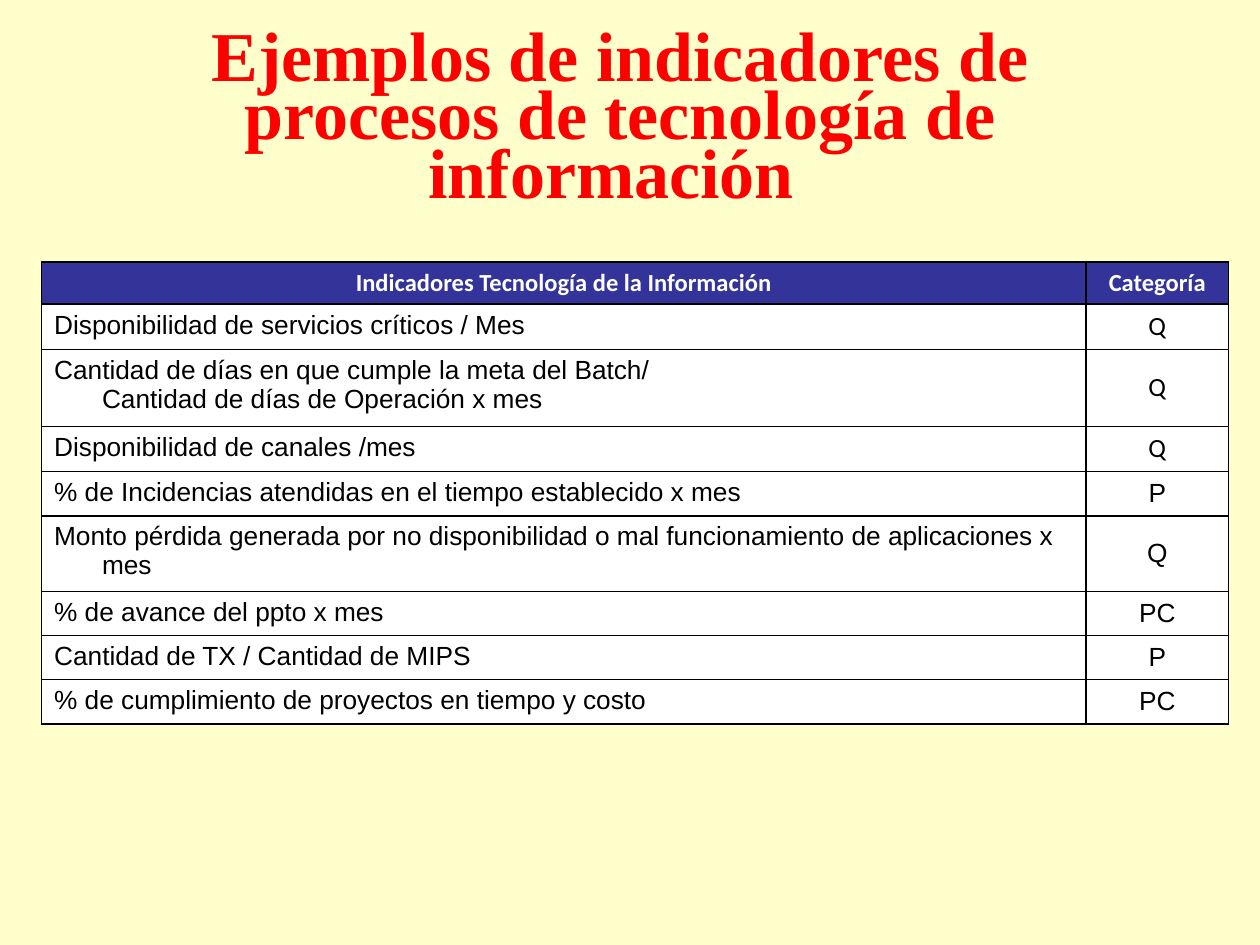
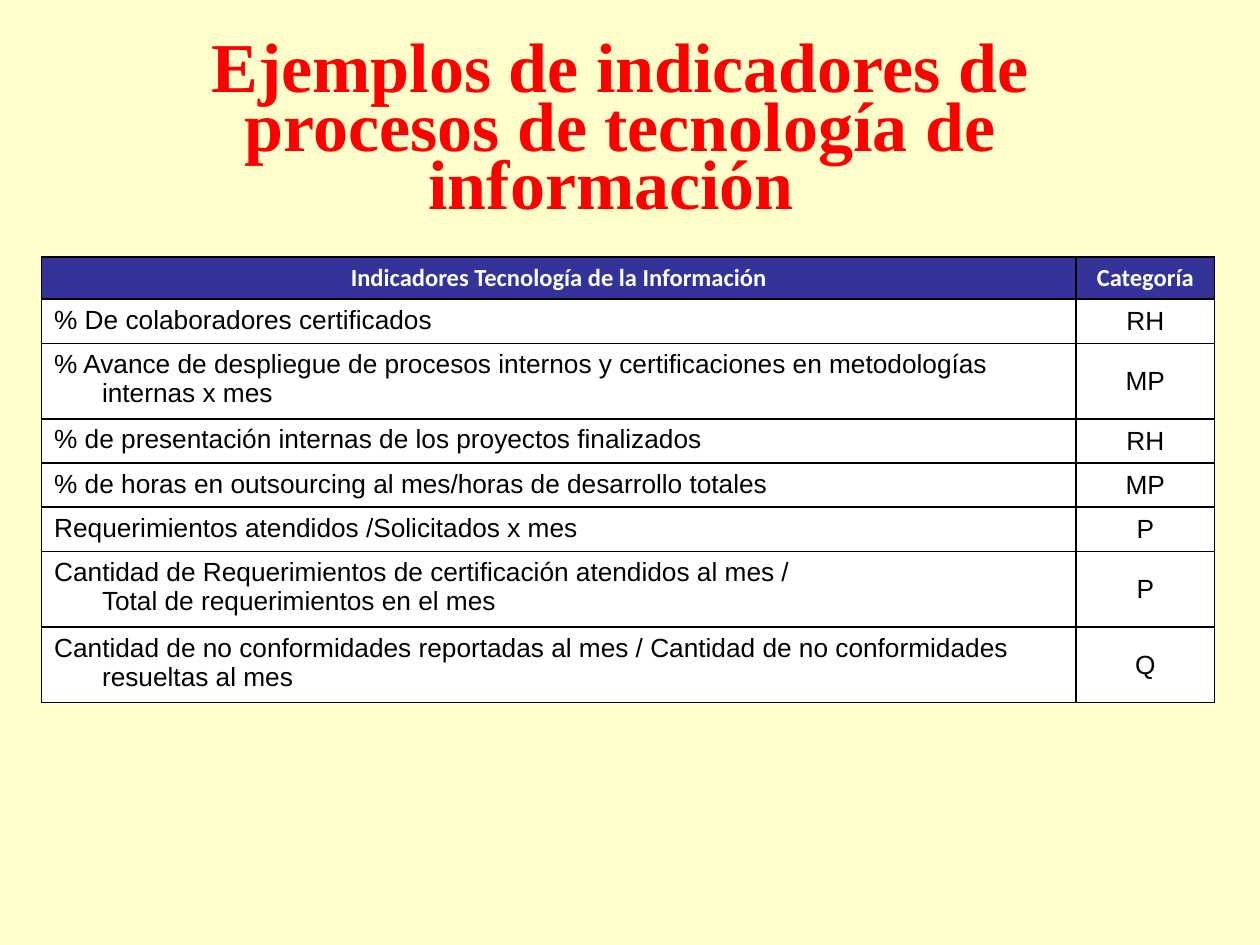
import pptx
import pptx.dml.color
import pptx.enum.text
import pptx.oxml
import pptx.oxml.ns
import pptx.util
from lxml import etree

Inches, Pt = pptx.util.Inches, pptx.util.Pt
ALIGN, ANCHOR = pptx.enum.text.PP_ALIGN, pptx.enum.text.MSO_ANCHOR

CREAM, RED, NAVY, WHITE, BLACK = "FFFFCC", "FF0000", "333399", "FFFFFF", "000000"
TITLE = "Ejemplos de indicadores de procesos de tecnología de información "
HEADER = ("Indicadores Tecnología de la Información", "Categoría")
ONE_LINE, TWO_LINES = 0.33, 0.56
HANGING = Inches(0.38)

# Each row: indicator, category, row height, category font
SERVICE_ROWS = [
    ("Disponibilidad de servicios críticos / Mes", "Q", 0.36, "Calibri"),
    ("Cantidad de días en que cumple la meta del Batch/ \nCantidad de días de Operación x mes",
     "Q", 0.61, "Calibri"),
    ("Disponibilidad de canales /mes", "Q", 0.36, "Calibri"),
    ("% de Incidencias atendidas en el tiempo establecido x mes", "P", ONE_LINE, "Arial"),
    ("Monto pérdida generada por no disponibilidad o mal funcionamiento de aplicaciones x mes",
     "Q", TWO_LINES, "Arial"),
    ("% de avance del ppto x mes", "PC", ONE_LINE, "Arial"),
    ("Cantidad de TX / Cantidad de MIPS", "P", ONE_LINE, "Arial"),
    ("% de cumplimiento de proyectos en tiempo y costo", "PC", ONE_LINE, "Arial"),
]
PROCESS_ROWS = [
    ("% De colaboradores certificados", "RH", ONE_LINE, "Arial"),
    ("% Avance de despliegue de procesos internos y certificaciones en metodologías internas x mes",
     "MP", TWO_LINES, "Arial"),
    ("% de presentación internas de los proyectos finalizados", "RH", ONE_LINE, "Arial"),
    ("% de horas en outsourcing al mes/horas de desarrollo totales", "MP", ONE_LINE, "Arial"),
    ("Requerimientos atendidos /Solicitados x mes", "P", ONE_LINE, "Arial"),
    ("Cantidad de Requerimientos de certificación atendidos al mes /\n"
     "Total de requerimientos en el mes", "P", TWO_LINES, "Arial"),
    ("Cantidad de no conformidades reportadas al mes / Cantidad de no conformidades "
     "resueltas al mes", "Q", TWO_LINES, "Arial"),
]


def rgb(color):
    return pptx.dml.color.RGBColor.from_string(color)


def paint(fill, color):
    fill.solid()
    fill.fore_color.rgb = rgb(color)


def style(p, font, size, color, bold, align):
    p.font.name, p.font.size, p.font.bold = font, Pt(size), bold
    p.font.color.rgb = rgb(color)
    p.alignment = align


def add_borders(cell):
    tc_pr = cell._tc.get_or_add_tcPr()
    for i, side in enumerate(("lnL", "lnR", "lnT", "lnB")):
        ln = etree.Element(pptx.oxml.ns.qn(f"a:{side}"), w=str(Pt(1)))
        fill = etree.SubElement(ln, pptx.oxml.ns.qn("a:solidFill"))
        etree.SubElement(fill, pptx.oxml.ns.qn("a:srgbClr"), val=BLACK)
        tc_pr.insert(i, ln)


def fill_cell(cell, text, fill, font, size, color, bold, align, anchor):
    paint(cell.fill, fill)
    add_borders(cell)
    cell.vertical_anchor = anchor
    p = cell.text_frame.paragraphs[0]
    p.text = text
    style(p, font, size, color, bold, align)
    p_pr = p._p.get_or_add_pPr()
    p_pr.set("marL", str(HANGING))
    p_pr.set("indent", str(-HANGING))


def add_title(slide, left, top, width, height):
    sp = slide.shapes.add_textbox(Inches(left), Inches(top), Inches(width), Inches(height))
    tf = sp.text_frame
    tf.word_wrap = True
    tf.vertical_anchor = ANCHOR.MIDDLE
    p = tf.paragraphs[0]
    p.text = TITLE
    p.line_spacing = 0.7
    style(p, "Times New Roman", 40, RED, True, ALIGN.CENTER)


def add_indicator_table(slide, left, top, widths, rows):
    heights = [ONE_LINE] + [row[2] for row in rows]
    table = slide.shapes.add_table(
        len(heights), len(widths), Inches(left), Inches(top),
        Inches(sum(widths)), Inches(sum(heights))).table
    for column, width in zip(table.columns, widths):
        column.width = Inches(width)
    for row, height in zip(table.rows, heights):
        row.height = Inches(height)
    for col, text in enumerate(HEADER):
        fill_cell(table.cell(0, col), text, NAVY, "Calibri", 14, WHITE, True,
                  ALIGN.CENTER, ANCHOR.MIDDLE)
    for i, (indicator, category, _, font) in enumerate(rows, 1):
        fill_cell(table.cell(i, 0), indicator, WHITE, "Arial", 15, BLACK, False,
                  ALIGN.LEFT, ANCHOR.TOP)
        fill_cell(table.cell(i, 1), category, WHITE, font, 15, BLACK, False,
                  ALIGN.CENTER, ANCHOR.MIDDLE)


def add_indicator_slide(prs, title_top, table_top, widths, rows):
    slide = prs.slides.add_slide(prs.slide_layouts[6])
    paint(slide.background.fill, CREAM)
    add_title(slide, 0.98, title_top, 7.88, 1.08)
    add_indicator_table(slide, 0.33, table_top, widths, rows)


def main():
    prs = pptx.Presentation()
    prs.slide_width, prs.slide_height = Inches(10), Inches(7.5)
    add_indicator_slide(prs, 0.43, 2.08, (8.29, 1.13), SERVICE_ROWS)
    add_indicator_slide(prs, 0.52, 2.04, (8.21, 1.1), PROCESS_ROWS)
    prs.save("out.pptx")


if __name__ == "__main__":
    main()
